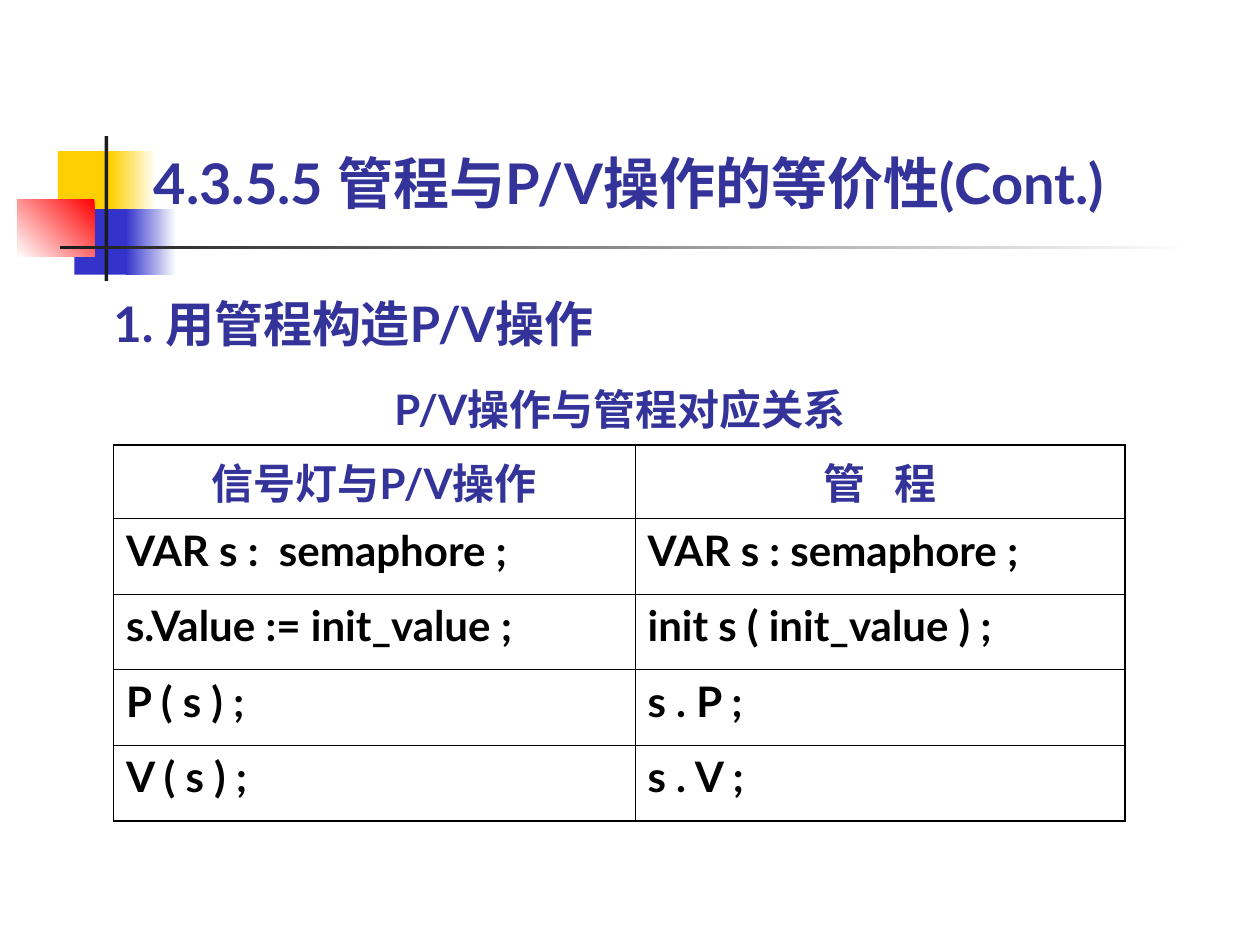
from dataclasses import dataclass
from typing import Optional

from lxml.etree import SubElement
from pptx import Presentation
from pptx.dml.color import RGBColor
from pptx.enum.shapes import MSO_SHAPE as Shape
from pptx.enum.text import MSO_ANCHOR as Anchor, PP_ALIGN as Align
from pptx.oxml.ns import qn
from pptx.util import Inches, Pt

# The slide is a grid of 100 columns by 75 rows
COLUMNS, ROWS = 100, 75
WIDTH, HEIGHT = Inches(10), Inches(7.5)

WHITE = RGBColor(0xFF, 0xFF, 0xFF)
BLACK = RGBColor(0x00, 0x00, 0x00)
CHARCOAL = RGBColor(0x1C, 0x1C, 0x1C)
YELLOW = RGBColor(0xFF, 0xCF, 0x01)
BLUE = RGBColor(0x33, 0x33, 0xCC)
RED = RGBColor(0xFF, 0x00, 0x00)
INDIGO = RGBColor(0x33, 0x33, 0x99)

FONT = "Lato"
OUTER_LINE, INNER_LINE = Pt(1.08), Pt(0.45)


@dataclass
class Area:
    column: float
    row: float
    columns: float
    rows: float

    def box(self) -> tuple[int, int, int, int]:
        return (across(self.column), down(self.row),
                across(self.columns), down(self.rows))


@dataclass
class Block:
    area: Area
    start: RGBColor
    end: Optional[RGBColor] = None
    angle: float = 180


@dataclass
class Label:
    area: Area
    text: str
    size: int
    align: Align = Align.LEFT
    anchor: Anchor = Anchor.TOP
    spacing: float = 1.0


BLOCKS = [
    Block(Area(4.6, 12, 4.8, 5.2), YELLOW),
    Block(Area(8.8, 12, 3.6, 5.2), WHITE, YELLOW),
    Block(Area(5.9, 16.6, 4.6, 5.2), BLUE),
    Block(Area(10, 16.6, 4, 5.2), WHITE, BLUE),
    Block(Area(1.4, 15.8, 6.1, 4.6), RED, WHITE, 225),
    Block(Area(8.3, 10.8, 0.3, 11.5), CHARCOAL),
    Block(Area(4.8, 19.5, 90, 0.3), WHITE, CHARCOAL),
]

LABELS = [
    Label(Area(12.2, 4.3, 82.7, 12.8), "4.3.5.5 管程与P/V操作的等价性(Cont.)", 32,
          anchor=Anchor.BOTTOM, spacing=1.2),
    Label(Area(30.3, 30.4, 37.8, 4), "P/V操作与管程对应关系", 24, Align.CENTER),
    Label(Area(9, 23.3, 41.5, 4.7), "1. 用管程构造P/V操作", 28),
]

TABLE_AREA = Area(9, 35.3, 80.3, 29.6)
COLUMN_WIDTHS = [41.4, 38.9]
HEADER_HEIGHT, BODY_HEIGHT = 5.6, 6
TABLE_ROWS = [
    ("信号灯与P/V操作", "管   程"),
    ("VAR s :  semaphore ;", "VAR s : semaphore ;"),
    ("s.Value := init_value ;", "init s ( init_value ) ;"),
    ("P ( s ) ;", "s . P ;"),
    ("V ( s ) ;", "s . V ;"),
]


def across(columns: float) -> int:
    return round(WIDTH * columns / COLUMNS)


def down(rows: float) -> int:
    return round(HEIGHT * rows / ROWS)


def set_values(target, values: dict) -> None:
    for name, value in values.items():
        setattr(target, name, value)


def format_text(paragraph, size: int, color: RGBColor, align: Align) -> None:
    paragraph.alignment = align
    for run in paragraph.runs:
        set_values(run.font, {"name": FONT, "size": Pt(size), "bold": True})
        run.font.color.rgb = color


def draw_block(slide, block: Block) -> None:
    shape = slide.shapes.add_shape(Shape.RECTANGLE, *block.area.box())
    shape.shadow.inherit = False
    shape.line.fill.background()
    if block.end is None:
        shape.fill.solid()
        shape.fill.fore_color.rgb = block.start
        return
    shape.fill.gradient()
    shape.fill.gradient_angle = block.angle
    for stop, color in zip(shape.fill.gradient_stops, (block.start, block.end)):
        stop.color.rgb = color


def draw_label(slide, label: Label) -> None:
    frame = slide.shapes.add_textbox(*label.area.box()).text_frame
    set_values(frame, {
        "word_wrap": True, "vertical_anchor": label.anchor, "margin_left": 0,
        "margin_top": 0, "margin_right": 0, "margin_bottom": 0,
    })
    paragraph = frame.paragraphs[0]
    paragraph.add_run().text = label.text
    paragraph.line_spacing = label.spacing
    format_text(paragraph, label.size, INDIGO, label.align)


def draw_borders(cell, outer_sides: dict[str, bool]) -> None:
    properties = cell._tc.get_or_add_tcPr()
    for side, is_outer in outer_sides.items():
        width = OUTER_LINE if is_outer else INNER_LINE
        line = SubElement(properties, qn(f"a:ln{side}"), w=str(width))
        fill = SubElement(line, qn("a:solidFill"))
        SubElement(fill, qn("a:srgbClr"), val=str(BLACK))


def draw_table(slide) -> None:
    last_row, last_column = len(TABLE_ROWS) - 1, len(COLUMN_WIDTHS) - 1
    table = slide.shapes.add_table(
        len(TABLE_ROWS), len(COLUMN_WIDTHS), *TABLE_AREA.box()).table
    set_values(table, {"first_row": False, "horz_banding": False})
    for column, width in zip(table.columns, COLUMN_WIDTHS):
        column.width = across(width)
    for r, texts in enumerate(TABLE_ROWS):
        is_header = r == 0
        table.rows[r].height = down(HEADER_HEIGHT if is_header else BODY_HEIGHT)
        for c, text in enumerate(texts):
            cell = table.cell(r, c)
            cell.text = text
            format_text(cell.text_frame.paragraphs[0], 24,
                        INDIGO if is_header else BLACK,
                        Align.CENTER if is_header else Align.LEFT)
            # Border elements must come before the fill
            draw_borders(cell, {"L": c == 0, "R": c == last_column,
                                "T": is_header, "B": r == last_row})
            cell.fill.background()


def main() -> None:
    presentation = Presentation()
    set_values(presentation, {"slide_width": WIDTH, "slide_height": HEIGHT})
    slide = presentation.slides.add_slide(presentation.slide_layouts[6])

    # Coloured squares and crossing lines
    for block in BLOCKS:
        draw_block(slide, block)

    # Table of matching operations
    draw_table(slide)

    # Title, caption and heading
    for label in LABELS:
        draw_label(slide, label)

    presentation.save("out.pptx")


if __name__ == "__main__":
    main()
